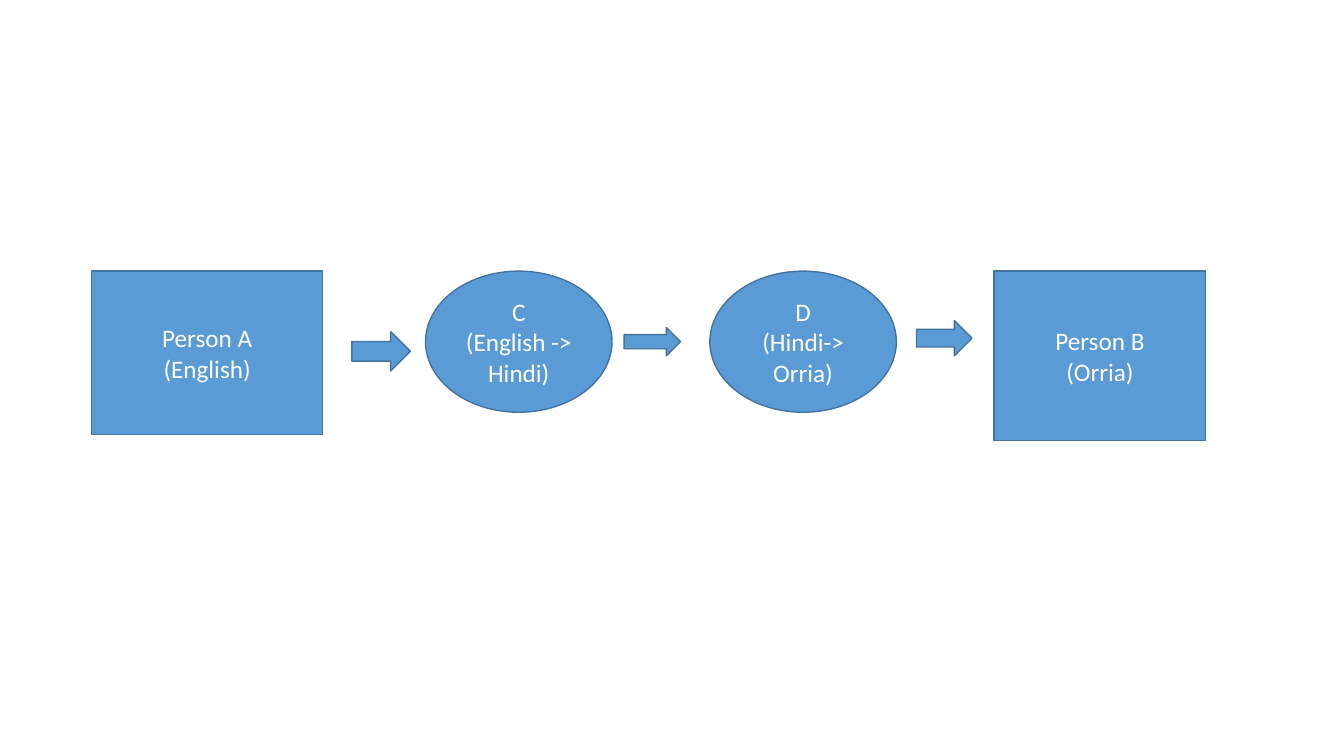
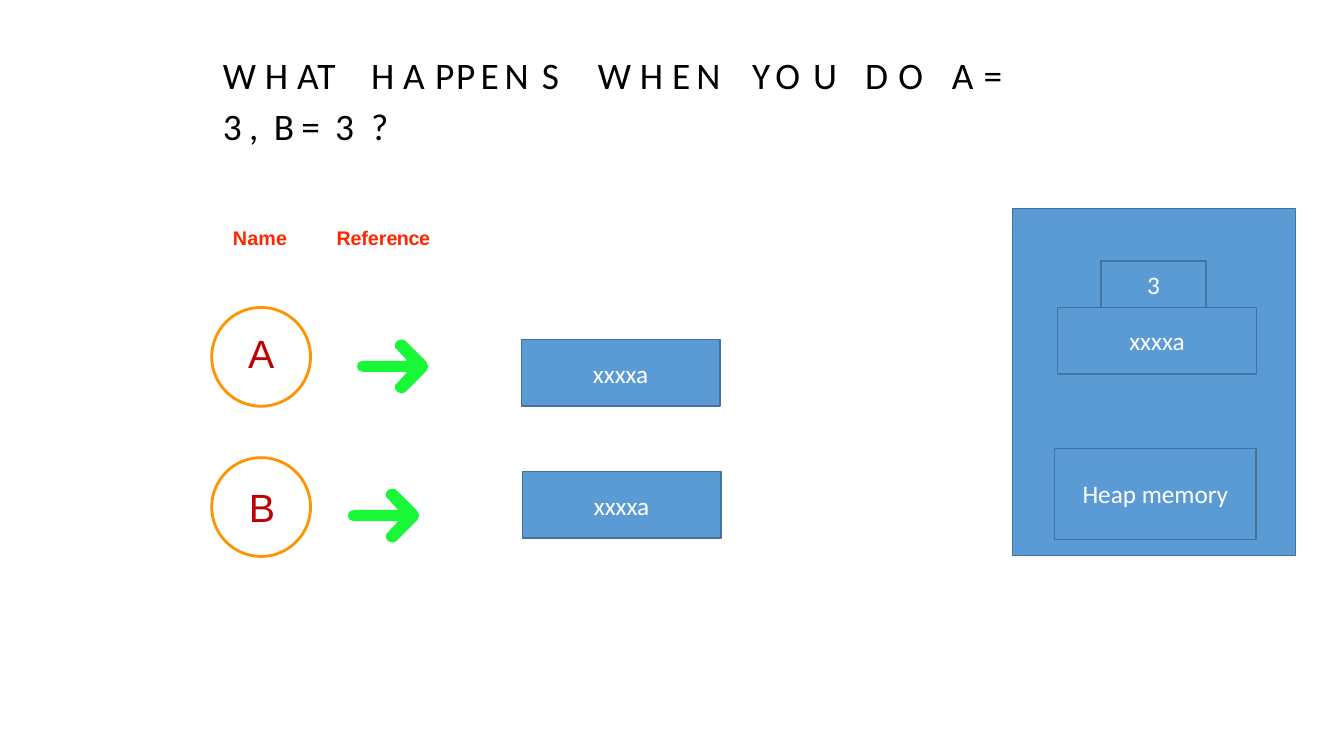
from lxml.etree import SubElement
from pptx import Presentation
from pptx.dml.color import RGBColor
from pptx.enum.shapes import MSO_SHAPE as Preset
from pptx.enum.text import MSO_ANCHOR as Anchor, MSO_AUTO_SIZE as AutoSize, PP_ALIGN as Align
from pptx.oxml.ns import qn
from pptx.util import Inches, Pt

BLUE = RGBColor(0x5B, 0x9B, 0xD5)
DARK_BLUE = RGBColor(0x43, 0x73, 0x9E)
WHITE = RGBColor(0xFF, 0xFF, 0xFF)
BLACK = RGBColor(0, 0, 0)
RED = RGBColor(0xFF, 0x26, 0x00)
DARK_RED = RGBColor(0xC0, 0, 0)
ORANGE = RGBColor(0xFF, 0x93, 0x00)
GREEN = RGBColor(0x19, 0xF8, 0x37)


def write_text(shape, lines, font="Calibri", size=18, color=WHITE, bold=False,
               align=Align.CENTER, anchor=Anchor.MIDDLE, margins=None,
               before=0, spacing=1):
    frame = shape.text_frame
    frame.word_wrap = True
    frame.auto_size = AutoSize.NONE
    frame.vertical_anchor = anchor
    if margins:
        frame.margin_left, frame.margin_top, frame.margin_right, frame.margin_bottom = map(Inches, margins)
    for index, runs in enumerate(lines):
        paragraph = frame.add_paragraph() if index else frame.paragraphs[0]
        paragraph.alignment = align
        paragraph.space_before = Pt(before)
        paragraph.line_spacing = spacing
        for text, tracking in runs:
            run = paragraph.add_run()
            run.text = text
            run.font.name = font
            run.font.size = Pt(size)
            run.font.bold = bold
            run.font.color.rgb = color
            if tracking:
                run.font._element.set("spc", str(round(tracking * 100)))


def add_block(slide, preset, box, lines=(), fill=BLUE, line=DARK_BLUE, width=1):
    shape = slide.shapes.add_shape(preset, *map(Inches, box))
    shape.shadow.inherit = False
    if fill is None:
        shape.fill.background()
    else:
        shape.fill.solid()
        shape.fill.fore_color.rgb = fill
    shape.line.color.rgb = line
    shape.line.width = Pt(width)
    write_text(shape, [[(text, 0)] for text in lines])


presentation = Presentation()
presentation.slide_width = Inches(13.33)
presentation.slide_height = Inches(7.5)

slide = presentation.slides.add_slide(presentation.slide_layouts[6])
for preset, left, width, height, lines in [
    (Preset.RECTANGLE, 0.91, 2.29, 1.62, ["Person A", "(English)"]),
    (Preset.OVAL, 4.22, 1.85, 1.4, ["C", "(English -> Hindi)"]),
    (Preset.OVAL, 7.04, 1.85, 1.4, ["D", "(Hindi-> Orria)"]),
    (Preset.RECTANGLE, 9.86, 2.1, 1.68, ["Person B", "(Orria)"]),
]:
    add_block(slide, preset, (left, 2.69, width, height), lines)
for box in [(3.49, 3.29, 0.58, 0.39), (6.19, 3.25, 0.56, 0.28), (9.09, 3.18, 0.55, 0.35)]:
    add_block(slide, Preset.RIGHT_ARROW, box)

slide = presentation.slides.add_slide(presentation.slide_layouts[5])
title = slide.shapes.title
title.left, title.top, title.width, title.height = map(Inches, (2.2, 0.44, 8.22, 1.03))
title_runs = [
    ("W H ", 0.1), ("AT\t", 1.1), ("H ", 0.1), ("A ", 0.6), ("P P ", -2.4),
    ("E ", -1.9), ("N ", 1.6), ("S\t", -2.9), ("W H ", 0.1), ("E ", -1.9),
    ("N\t", 1.6), ("Y ", -2.4), ("O ", 1.6), ("U\t", -0.9), ("D ", 0.6),
    ("O\t", 1.6), ("A ", 0.6), ("= ", 2.3), ("3 ", -0.9), (",  ", -0.5),
    ("B ", -0.9), ("= ", 2.3), ("3\t", -0.9), ("?", -2.4),
]
write_text(title, [title_runs], size=26.7, color=BLACK, align=Align.LEFT,
           margins=(0.01, 0.01, 0, 0), before=0.7, spacing=1.14)
properties = title.text_frame.paragraphs[0]._p.get_or_add_pPr()
tab_list = SubElement(properties, qn("a:tabLst"))
for position in (1.02, 1.47, 3.72, 5.25, 6.37, 7.23):
    SubElement(tab_list, qn("a:tab"), pos=str(Inches(position)), algn="l")

for top in (3.05, 4.54):
    add_block(slide, Preset.OVAL, (2.1, top, 0.98, 0.98), fill=None, line=ORANGE, width=2)

letter = {"size": 28.1, "color": DARK_RED}
heading = {"size": 14.1, "color": RED, "bold": True}
for box, runs, style in [
    ((2.45, 3.26, 0.29, 0.48), [("A", 0.5)], letter),
    ((2.46, 4.78, 0.27, 0.48), [("B", -1.1)], letter),
    ((2.3, 2.23, 0.56, 0.25), [("Name", 0.2)], heading),
    ((3.33, 2.23, 0.94, 0.25), [("Refe", -0.1), ("r", -0.4), ("ence", -0.3)], heading),
]:
    label = slide.shapes.add_textbox(*map(Inches, box))
    write_text(label, [runs], font="Arial", align=Align.LEFT, anchor=Anchor.TOP,
               margins=(0.01, 0.01, 0, 0), before=0.7, **style)

upper_half = [
    (0, 0.27), (0.01, 0.23), (0.03, 0.22), (0.06, 0.21), (0.5, 0.21), (0.4, 0.1),
    (0.38, 0.08), (0.38, 0.04), (0.4, 0.01), (0.44, 0), (0.46, 0), (0.48, 0.01),
    (0.69, 0.22), (0.7, 0.25), (0.71, 0.27),
]
arrow_outline = upper_half + [(x, 0.53 - y) for x, y in reversed(upper_half)]
for left, top in [(3.54, 3.37), (3.45, 4.85)]:
    points = [(Inches(left + x), Inches(top + y)) for x, y in arrow_outline]
    builder = slide.shapes.build_freeform(*points[0], scale=1)
    builder.add_line_segments(points[1:], close=True)
    arrow = builder.convert_to_shape()
    arrow.shadow.inherit = False
    arrow.fill.solid()
    arrow.fill.fore_color.rgb = GREEN
    arrow.line.fill.background()

for box, lines in [
    ((10.04, 2.07, 2.81, 3.44), []),
    ((10.92, 2.59, 1.04, 0.46), ["3"]),
    ((10.46, 4.45, 2, 0.9), ["Heap memory"]),
    ((5.17, 3.37, 1.97, 0.66), ["xxxxa"]),
    ((5.18, 4.68, 1.97, 0.66), ["xxxxa"]),
    ((10.49, 3.05, 1.97, 0.66), ["xxxxa"]),
]:
    add_block(slide, Preset.RECTANGLE, box, lines)

presentation.save("out.pptx")
